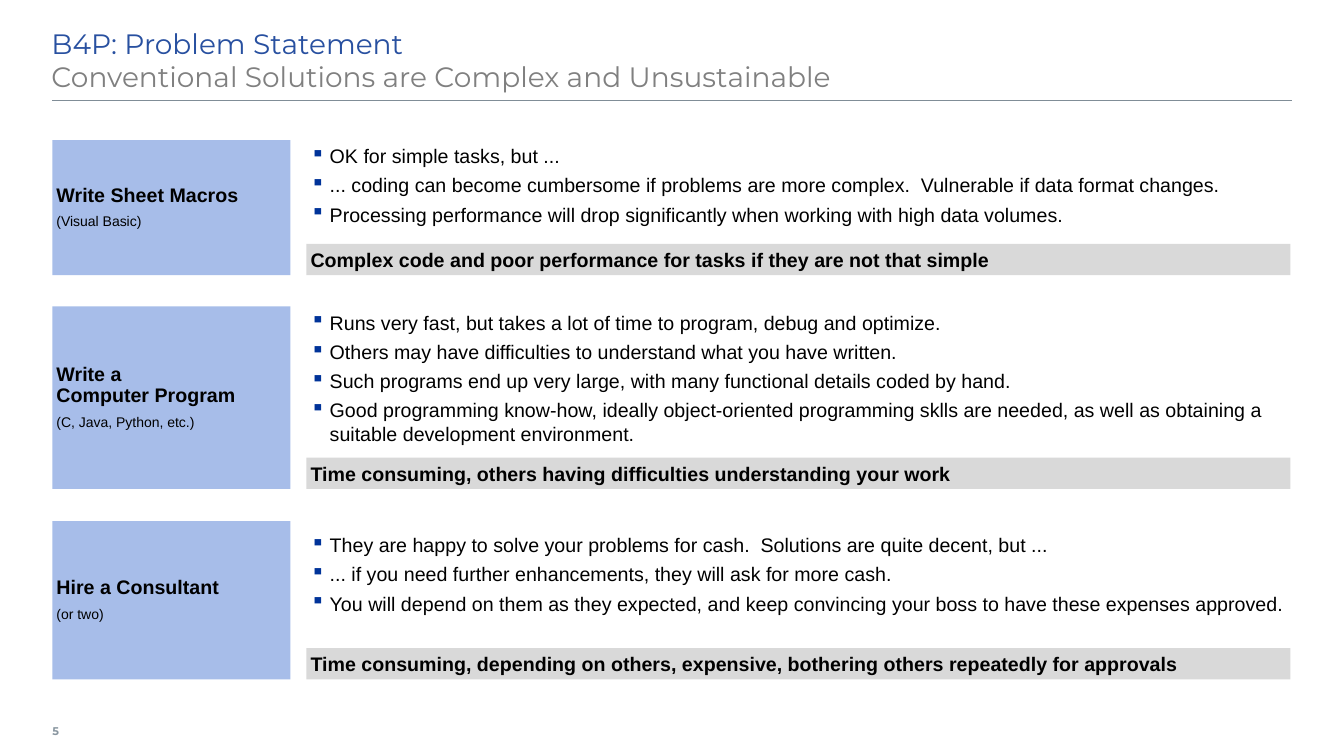
from lxml.etree import SubElement
from pptx import Presentation
from pptx.dml.color import RGBColor
from pptx.enum.shapes import MSO_CONNECTOR, MSO_SHAPE
from pptx.enum.text import MSO_ANCHOR, PP_ALIGN
from pptx.oxml.ns import qn
from pptx.util import Inches, Pt

BLACK = RGBColor(0x00, 0x00, 0x00)
TITLE_BLUE = RGBColor(0x28, 0x50, 0xA0)
SUBTITLE_GRAY = RGBColor(0x80, 0x80, 0x80)
RULE_GRAY = RGBColor(0x80, 0x8D, 0x97)
NUMBER_GRAY = RGBColor(0x89, 0x96, 0xA0)
PANEL_BLUE = RGBColor(0xA7, 0xBD, 0xE9)
BAR_GRAY = RGBColor(0xD9, 0xD9, 0xD9)
BULLET_BLUE = RGBColor(0x00, 0x33, 0x99)

LEFT, PANEL_WIDTH = 0.52, 2.36
RIGHT_COLUMN, RIGHT_WIDTH = 3.04, 9.76
BAR_HEIGHT = 0.31

# top, height, bullet offset, option name lines, detail, bullets, conclusion
OPTIONS = [
    (1.39, 1.34, 0, ["Write Sheet Macros"], "(Visual Basic)",
     ["OK for simple tasks, but ...",
      "... coding can become cumbersome if problems are more complex.  "
      "Vulnerable if data format changes.",
      "Processing performance will drop significantly when working with high data volumes."],
     "Complex code and poor performance for tasks if they are not that simple"),
    (3.04, 1.81, 0, ["Write a", "Computer Program"], "(C, Java, Python, etc.)",
     ["Runs very fast, but takes a lot of time to program, debug and optimize.",
      "Others may have difficulties to understand what you have written.",
      "Such programs end up very large, with many functional details coded by hand.",
      "Good programming know-how, ideally object-oriented programming sklls are needed, "
      "as well as obtaining a suitable development environment."],
     "Time consuming, others having difficulties understanding your work"),
    (5.17, 1.57, 0.08, ["Hire a Consultant"], "(or two)",
     ["They are happy to solve your problems for cash.  Solutions are quite decent, but ...",
      "... if you need further enhancements, they will ask for more cash.",
      "You will depend on them as they expected, and keep convincing your boss "
      "to have these expenses approved."],
     "Time consuming, depending on others, expensive, "
     "bothering others repeatedly for approvals"),
]


class SlideBuilder:
    heading_font = "Montserrat"
    body_font = "Arial"
    body_size = 14
    detail_size = 10
    body_insets = (0.04, 0.04, 0.04, 0.04)

    def __init__(self, slide):
        self.slide = slide

    def frame(self, shape, insets, anchor=MSO_ANCHOR.TOP, wrap=True):
        """Prepare the text frame of a shape and return it."""
        frame = shape.text_frame
        frame.word_wrap = wrap
        frame.vertical_anchor = anchor
        (frame.margin_left, frame.margin_top,
         frame.margin_right, frame.margin_bottom) = map(Inches, insets)
        return frame

    def text_box(self, left, top, width, height, insets, **options):
        box = self.slide.shapes.add_textbox(
            Inches(left), Inches(top), Inches(width), Inches(height))
        return self.frame(box, insets, **options)

    def rectangle(self, left, top, width, height, color, anchor=MSO_ANCHOR.TOP):
        shape = self.slide.shapes.add_shape(
            MSO_SHAPE.RECTANGLE, Inches(left), Inches(top), Inches(width), Inches(height))
        shape.shadow.inherit = False
        shape.fill.solid()
        shape.fill.fore_color.rgb = color
        shape.line.fill.background()
        return self.frame(shape, self.body_insets, anchor)

    def paragraph(self, frame, index, spacing=0):
        """Return paragraph number index, with equal space before and after."""
        paragraph = frame.add_paragraph() if index else frame.paragraphs[0]
        paragraph.alignment = PP_ALIGN.LEFT
        paragraph.space_before = Pt(spacing if index else 0)
        paragraph.space_after = Pt(spacing)
        return paragraph

    def run(self, paragraph, text, size=body_size, color=BLACK, bold=False, font=body_font):
        run = paragraph.add_run()
        run.text = text
        run.font.name = font
        run.font.size = Pt(size)
        run.font.bold = bold
        run.font.color.rgb = color

    def rule(self, left, right, y):
        line = self.slide.shapes.add_connector(
            MSO_CONNECTOR.STRAIGHT, Inches(left), Inches(y), Inches(right), Inches(y))
        line.line.color.rgb = RULE_GRAY
        line.line.width = Pt(1)
        SubElement(line._element.spPr, qn("a:effectLst"))

    def title(self, heading, subheading):
        frame = self.text_box(0.51, 0.21, 12.28, 0.79, (0, 0.05, 0.1, 0.05))
        paragraph = self.paragraph(frame, 0)
        self.run(paragraph, heading, 20, TITLE_BLUE, font=self.heading_font)
        paragraph.add_line_break()
        self.run(paragraph, subheading, 20, SUBTITLE_GRAY, font=self.heading_font)

    def page_number(self, number):
        frame = self.text_box(LEFT, 7.06, 0.47, 0.39, (0, 0.05, 0.08, 0.05),
                              anchor=MSO_ANCHOR.MIDDLE, wrap=False)
        self.run(self.paragraph(frame, 0), number, 8, NUMBER_GRAY, True, self.heading_font)

    def option_panel(self, top, height, name_lines, detail):
        frame = self.rectangle(LEFT, top, PANEL_WIDTH, height, PANEL_BLUE, MSO_ANCHOR.MIDDLE)
        name = self.paragraph(frame, 0, 3)
        for index, line in enumerate(name_lines):
            if index:
                name.add_line_break()
            self.run(name, line, bold=True)
        note = self.paragraph(frame, 1, 3)
        self.run(note, detail, self.detail_size)
        name.line_spacing = note.line_spacing = 0.9

    def conclusion_bar(self, top, text):
        frame = self.rectangle(RIGHT_COLUMN, top, RIGHT_WIDTH, BAR_HEIGHT, BAR_GRAY)
        self.run(self.paragraph(frame, 0, 3), text, bold=True)

    def bullet_list(self, top, items):
        frame = self.text_box(RIGHT_COLUMN, top, RIGHT_WIDTH, 1.1, self.body_insets)
        for index, item in enumerate(items):
            paragraph = self.paragraph(frame, index, 2)
            properties = paragraph._p.get_or_add_pPr()
            properties.set("marL", str(Inches(0.19)))
            properties.set("indent", str(-Inches(0.19)))
            bullet_color = SubElement(properties, qn("a:buClr"))
            SubElement(bullet_color, qn("a:srgbClr"), val=str(BULLET_BLUE))
            SubElement(properties, qn("a:buChar"), char="▪")
            self.run(paragraph, item)


def main():
    presentation = Presentation()
    presentation.slide_width = Inches(13.33)
    presentation.slide_height = Inches(7.5)
    builder = SlideBuilder(presentation.slides.add_slide(presentation.slide_layouts[6]))

    builder.rule(LEFT, 12.81, 1)
    builder.page_number("5")
    builder.title("B4P: Problem Statement",
                  "Conventional Solutions are Complex and Unsustainable")
    for top, height, bullet_offset, name_lines, detail, bullets, conclusion in OPTIONS:
        builder.option_panel(top, height, name_lines, detail)
        builder.conclusion_bar(top + height - BAR_HEIGHT, conclusion)
        builder.bullet_list(top + bullet_offset, bullets)

    presentation.save("out.pptx")


if __name__ == "__main__":
    main()
